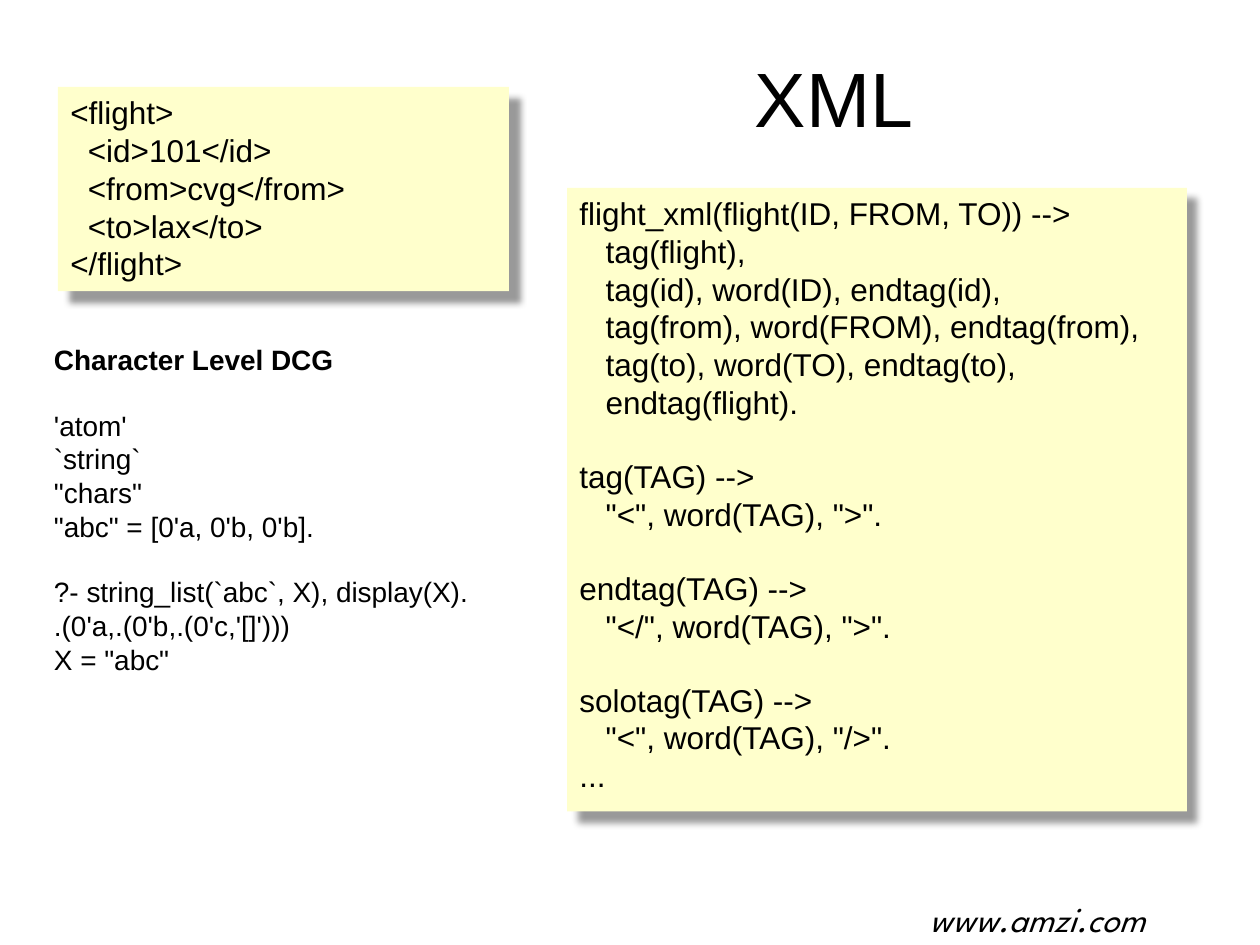
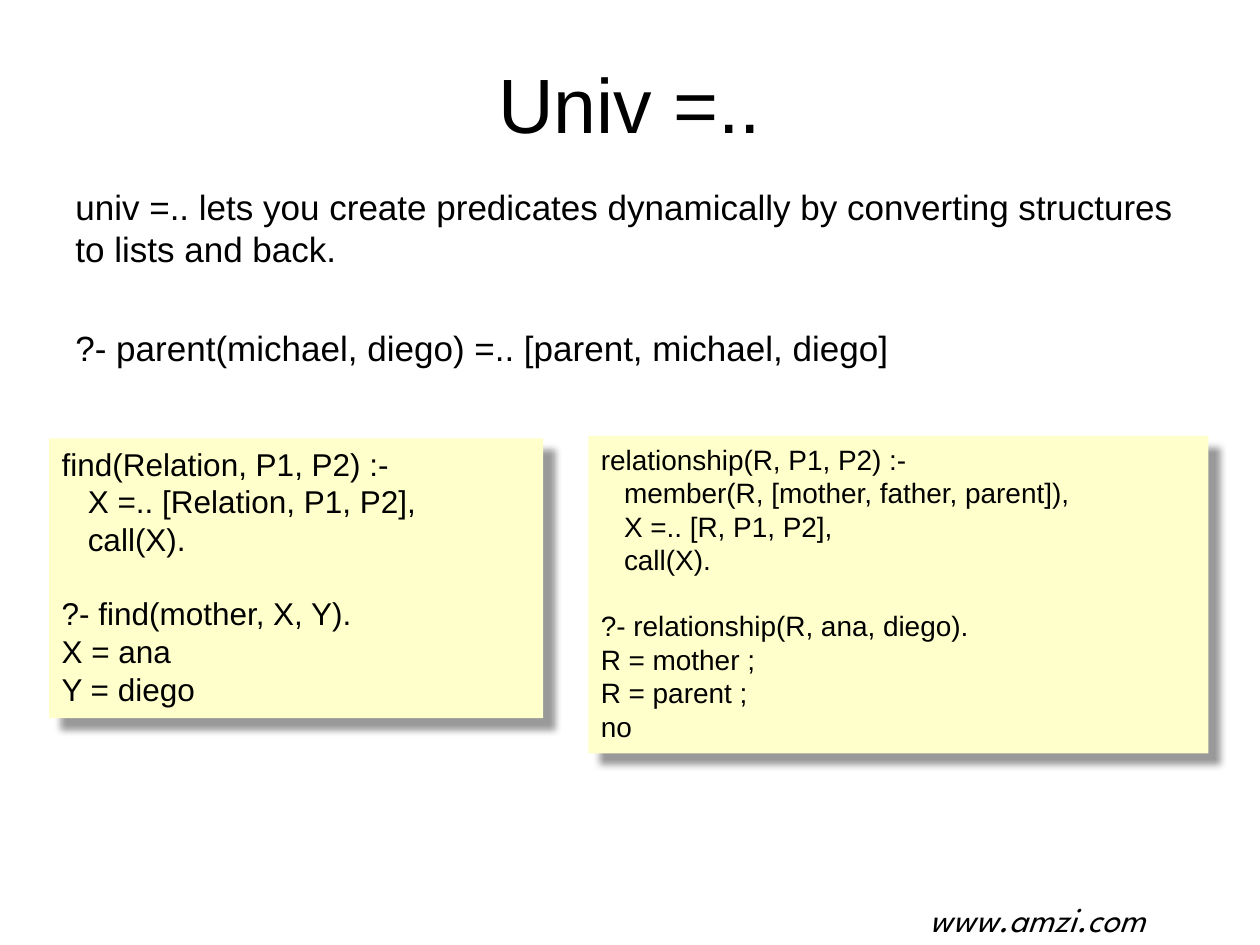
"""Build two Prolog slides: parsing XML, and the univ operator."""
from dataclasses import dataclass
from typing import Optional

from lxml import etree
from pptx import Presentation
from pptx.dml.color import RGBColor
from pptx.enum import shapes, text
from pptx.oxml import ns
from pptx.util import Inches, Length, Pt

BLACK = RGBColor(0x00, 0x00, 0x00)
CODE_YELLOW = RGBColor(0xFF, 0xFF, 0xCC)
BODY_FONT = "Arial"
FOOTER_FONT = "League Spartan"
LINE_HEIGHT = 1.15


@dataclass(frozen=True)
class TextBlock:
    """Lines of text in a box; an empty line means a gap of one line."""

    left: float
    top: float
    width: float
    height: float
    content: str
    size: int = 18
    fill: Optional[RGBColor] = None
    font: str = BODY_FONT
    align: text.PP_ALIGN = text.PP_ALIGN.LEFT
    anchor: text.MSO_ANCHOR = text.MSO_ANCHOR.TOP
    italic: bool = False
    bold_heading: bool = False
    extra_gap: float = 0

    @property
    def bounds(self) -> tuple[Length, ...]:
        """Return left, top, width and height as lengths."""
        return tuple(Inches(side) for side in (self.left, self.top, self.width, self.height))


def code(left: float, top: float, width: float, height: float,
         content: str, size: int = 18) -> TextBlock:
    """Describe a yellow code panel."""
    return TextBlock(left, top, width, height, content, size, fill=CODE_YELLOW)


def title(left: float, top: float, width: float, content: str) -> TextBlock:
    """Describe a slide title."""
    return TextBlock(left, top, width, 1.03, content, 44,
                     align=text.PP_ALIGN.CENTER, anchor=text.MSO_ANCHOR.MIDDLE)


FOOTER = TextBlock(6.17, 7.07, 3.02, 0.44, "www.amzi.com", 20, font=FOOTER_FONT,
                   align=text.PP_ALIGN.RIGHT, italic=True)

FLIGHT_XML = """<flight>
  <id>101</id>
  <from>cvg</from>
  <to>lax</to>
</flight>"""

FLIGHT_GRAMMAR = """flight_xml(flight(ID, FROM, TO)) -->
   tag(flight),
   tag(id), word(ID), endtag(id),
   tag(from), word(FROM), endtag(from),
   tag(to), word(TO), endtag(to),
   endtag(flight).

tag(TAG) -->
   "<", word(TAG), ">".

endtag(TAG) -->
   "</", word(TAG), ">".

solotag(TAG) -->
   "<", word(TAG), "/>".
..."""

CHARACTER_NOTES = """Character Level DCG

'atom'
`string`
"chars"
"abc" = [0'a, 0'b, 0'b].

?- string_list(`abc`, X), display(X).
.(0'a,.(0'b,.(0'c,'[]')))
X = "abc\""""

UNIV_INTRO = """univ =.. lets you create predicates dynamically by converting structures to lists and back.

?- parent(michael, diego) =.. [parent, michael, diego]"""

FIND_CODE = """find(Relation, P1, P2) :-
   X =.. [Relation, P1, P2],
   call(X).

?- find(mother, X, Y).
X = ana
Y = diego"""

RELATIONSHIP_CODE = """relationship(R, P1, P2) :-
   member(R, [mother, father, parent]),
   X =.. [R, P1, P2],
   call(X).

?- relationship(R, ana, diego).
R = mother ;
R = parent ;
no"""

PAGES = (
    (
        title(4.91, 0.25, 3.42, "XML"),
        code(0.46, 0.69, 3.58, 1.62, FLIGHT_XML),
        code(4.5, 1.49, 4.92, 4.95, FLIGHT_GRAMMAR),
        TextBlock(0.33, 2.67, 3.58, 3.4, CHARACTER_NOTES, 16, bold_heading=True),
    ),
    (
        title(0.5, 0.3, 9, "Univ =.."),
        TextBlock(0.5, 1.42, 9, 1.83, UNIV_INTRO, 20, extra_gap=10),
        code(0.39, 3.48, 3.92, 2.22, FIND_CODE),
        code(4.67, 3.46, 4.92, 2.52, RELATIONSHIP_CODE, 16),
    ),
)


def add_shadow(panel) -> None:
    """Give a panel a soft shadow towards the lower right."""
    panel.shadow.inherit = False
    effects = panel._element.spPr.find(ns.qn("a:effectLst"))
    shadow = etree.SubElement(effects, ns.qn("a:outerShdw"), blurRad=str(Pt(4)),
                              dist=str(Pt(9)), dir=str(45 * 60000),
                              algn="tl", rotWithShape="0")
    color = etree.SubElement(shadow, ns.qn("a:srgbClr"), val=str(BLACK))
    etree.SubElement(color, ns.qn("a:alpha"), val="40000")


def write_lines(frame, block: TextBlock) -> None:
    """Write one paragraph per line, with spacing where a line is empty."""
    frame.word_wrap = True
    frame.auto_size = text.MSO_AUTO_SIZE.NONE
    frame.vertical_anchor = block.anchor
    gap_before = False
    for index, line in enumerate(block.content.split("\n")):
        if not line:
            gap_before = True
            continue
        para = frame.add_paragraph() if index else frame.paragraphs[0]
        para.alignment = block.align
        if gap_before:
            para.space_before = Pt(block.size * LINE_HEIGHT + block.extra_gap)
        gap_before = False
        span = para.add_run()
        span.text = line
        span.font.name = block.font
        span.font.size = Pt(block.size)
        span.font.color.rgb = BLACK
        span.font.italic = block.italic
        span.font.bold = block.bold_heading and index == 0


def draw_block(page, block: TextBlock) -> None:
    """Draw a block as a shadowed panel if filled, else as a text box."""
    if block.fill is None:
        box = page.shapes.add_textbox(*block.bounds)
    else:
        box = page.shapes.add_shape(shapes.MSO_SHAPE.RECTANGLE, *block.bounds)
        box.fill.solid()
        box.fill.fore_color.rgb = block.fill
        box.line.fill.background()
        add_shadow(box)
    write_lines(box.text_frame, block)


def main() -> None:
    """Build and save the deck."""
    deck = Presentation()
    deck.slide_width, deck.slide_height = Inches(10), Inches(7.5)
    for blocks in PAGES:
        page = deck.slides.add_slide(deck.slide_layouts[6])
        for block in (FOOTER, *blocks):
            draw_block(page, block)
    deck.save("out.pptx")


if __name__ == "__main__":
    main()
